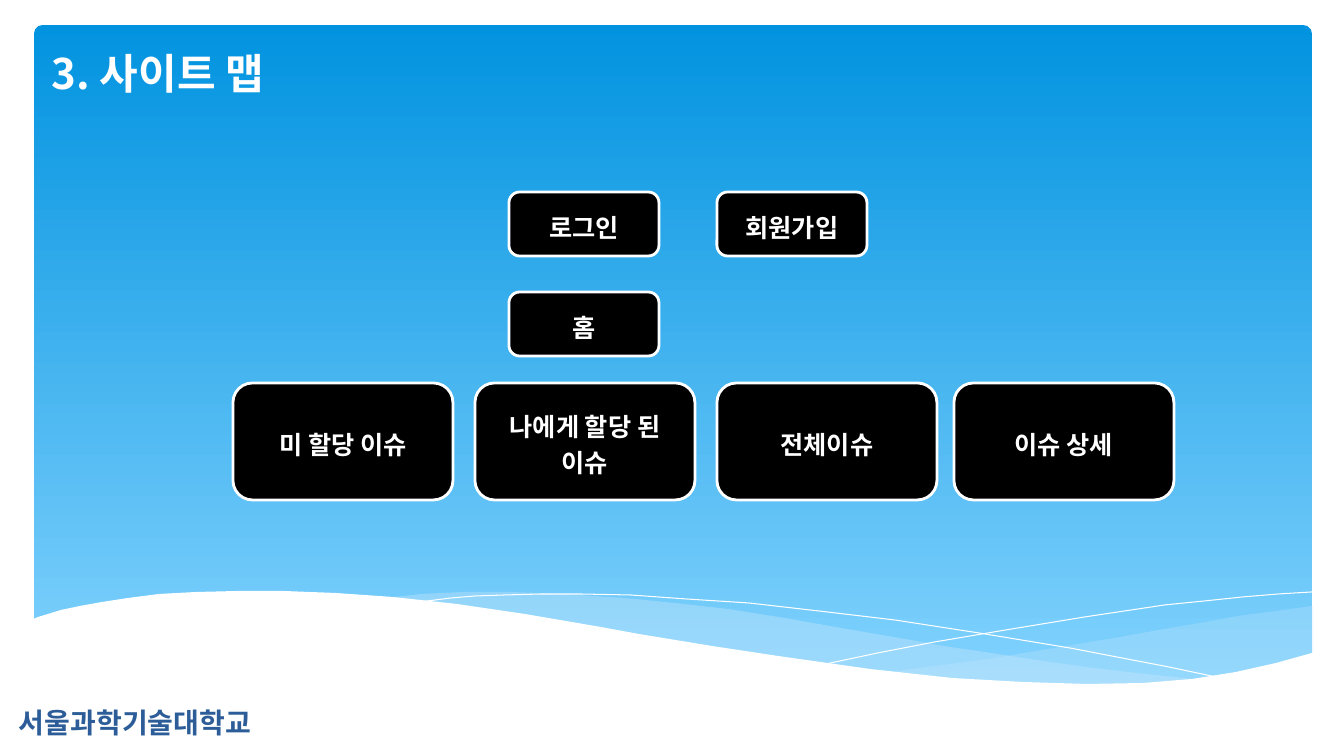
import pptx
import pptx.util
import pptx.dml.color
import pptx.enum.shapes
import pptx.enum.text
import pptx.oxml.ns
from dataclasses import dataclass
from lxml import etree

RGB = pptx.dml.color.RGBColor
WHITE = RGB(0xFF, 0xFF, 0xFF)
BLACK = RGB(0, 0, 0)
NAVY = RGB(0x2C, 0x5D, 0x98)
PALE = RGB(0xC6, 0xE7, 0xFC)
SKY = (RGB(0x02, 0x93, 0xE0), RGB(0x83, 0xD3, 0xFE))
FONT = "Noto Sans CJK KR"
SCALE = 914400 / 100.8
ROUND = pptx.enum.shapes.MSO_SHAPE.ROUNDED_RECTANGLE
ALIGN = pptx.enum.text.PP_ALIGN
MIDDLE = pptx.enum.text.MSO_ANCHOR.MIDDLE


@dataclass
class Wave:
    points: list[tuple[int, int]]
    fill: RGB | None = None
    alpha: int = 100


@dataclass
class Page:
    text: str
    left: int
    top: int
    width: int
    height: int


@dataclass
class Label:
    text: str
    left: int
    top: int
    width: int
    height: int
    size: int
    color: RGB


def px(value: int) -> int:
    return round(value * SCALE)


def frame(item: Page | Label) -> list[int]:
    return [px(v) for v in (item.left, item.top, item.width, item.height)]


def write(shape, text: str, size: int, color: RGB, space: float) -> None:
    body = shape.text_frame
    body.word_wrap = True
    body.text = text
    for para in body.paragraphs:
        para.line_spacing = space
        for run in para.runs:
            font = run.font
            font.size = pptx.util.Pt(size)
            font.bold = True
            font.color.rgb = color
            font.name = FONT
            tag = pptx.oxml.ns.qn("a:ea")
            etree.SubElement(run._r.get_or_add_rPr(), tag, typeface=FONT)


def draw_wave(shapes, wave: Wave) -> None:
    start, *rest = wave.points
    pen = shapes.build_freeform(*start, scale=SCALE)
    pen.add_line_segments(rest, close=wave.fill is not None)
    shape = pen.convert_to_shape()
    shape.shadow.inherit = False
    if wave.fill is None:
        shape.fill.background()
        shape.line.color.rgb = WHITE
        shape.line.width = pptx.util.Pt(0)
        return
    shape.line.fill.background()
    shape.fill.solid()
    shape.fill.fore_color.rgb = wave.fill
    if wave.alpha < 100:
        tint = next(shape._element.spPr.iter(pptx.oxml.ns.qn("a:srgbClr")))
        etree.SubElement(tint, pptx.oxml.ns.qn("a:alpha"), val=str(wave.alpha * 1000))


def draw_page(shapes, page: Page) -> None:
    shape = shapes.add_shape(ROUND, *frame(page))
    shape.shadow.inherit = False
    shape.fill.solid()
    shape.fill.fore_color.rgb = BLACK
    shape.line.color.rgb = WHITE
    shape.line.width = pptx.util.Pt(2)
    shape.text_frame.vertical_anchor = MIDDLE
    write(shape, page.text, 18, WHITE, 1.2)
    for para in shape.text_frame.paragraphs:
        para.alignment = ALIGN.CENTER


def draw_label(shapes, label: Label) -> None:
    shape = shapes.add_textbox(*frame(label))
    write(shape, label.text, label.size, label.color, 0.9)
    shape.text_frame.paragraphs[0].space_before = pptx.util.Pt(10)


def draw_sky(shapes) -> None:
    sky = shapes.add_shape(ROUND, px(34), px(25), px(1278), px(665))
    sky.adjustments[0] = 0.013
    sky.shadow.inherit = False
    sky.line.fill.background()
    sky.fill.gradient()
    sky.fill.gradient_angle = 270
    for stop, color, place in zip(sky.fill.gradient_stops, SKY, (0, 1)):
        stop.color.rgb = color
        stop.position = place


WAVES = [
    Wave([(1312, 606), (1276, 611), (1238, 616), (1200, 623), (1158, 630),
          (1120, 637), (1048, 649), (982, 660), (919, 668), (890, 672),
          (948, 678), (1002, 682), (1050, 684), (1096, 685), (1149, 683),
          (1197, 679), (1239, 673), (1277, 666), (1313, 654), (1313, 606)], PALE, 29),
    Wave([(1202, 680), (1165, 676), (1127, 672), (1086, 667), (1043, 661),
          (998, 654), (950, 647), (899, 638), (847, 629), (785, 618),
          (728, 609), (675, 603), (625, 598), (565, 594), (511, 592),
          (463, 592), (421, 594), (385, 598), (434, 603), (488, 609),
          (544, 618), (605, 629), (713, 647), (786, 659), (854, 668),
          (915, 675), (972, 681), (1024, 684), (1072, 685), (1114, 685),
          (1154, 684)], PALE, 40),
    Wave([(416, 602), (427, 601), (451, 598), (475, 596), (504, 595),
          (540, 594), (582, 594), (631, 595), (687, 599), (749, 603),
          (819, 611), (895, 620), (979, 633), (1070, 648), (1169, 667), (1221, 678)]),
    Wave([(826, 664), (878, 653), (935, 642), (1006, 630), (1085, 617),
          (1165, 605), (1205, 601), (1243, 597), (1279, 594), (1312, 592)]),
    Wave([(1312, 653), (1276, 663), (1236, 672), (1192, 679), (1143, 683),
          (1087, 684), (1023, 682), (952, 678), (870, 669), (778, 656),
          (712, 646), (639, 634), (601, 627), (525, 614), (457, 604),
          (393, 597), (336, 593), (284, 591), (237, 591), (196, 592),
          (159, 594), (128, 598), (102, 602), (80, 606), (61, 610),
          (48, 614), (38, 617), (31, 620), (31, 737), (1313, 737), (1313, 653)], WHITE),
]
LABELS = [
    Label("서울과학기술대학교", 9, 704, 481, 43, 20, NAVY),
    Label("3. 사이트 맵", 42, 48, 513, 59, 30, WHITE),
]
SMALL = [("로그인", 509, 192), ("회원가입", 717, 192), ("홈", 509, 292)]
LARGE = [("미 할당 이슈", 233), ("나에게 할당 된\n이슈", 475),
         ("전체이슈", 717), ("이슈 상세", 954)]
PAGES = [Page(text, left, top, 150, 64) for text, left, top in SMALL]
PAGES += [Page(text, left, 383, 220, 117) for text, left in LARGE]

deck = pptx.Presentation()
deck.slide_width = px(1344)
deck.slide_height = px(756)
shapes = deck.slides.add_slide(deck.slide_layouts[6]).shapes
draw_sky(shapes)
for wave in WAVES:
    draw_wave(shapes, wave)
for label in LABELS:
    draw_label(shapes, label)
for page in PAGES:
    draw_page(shapes, page)
deck.save("out.pptx")
